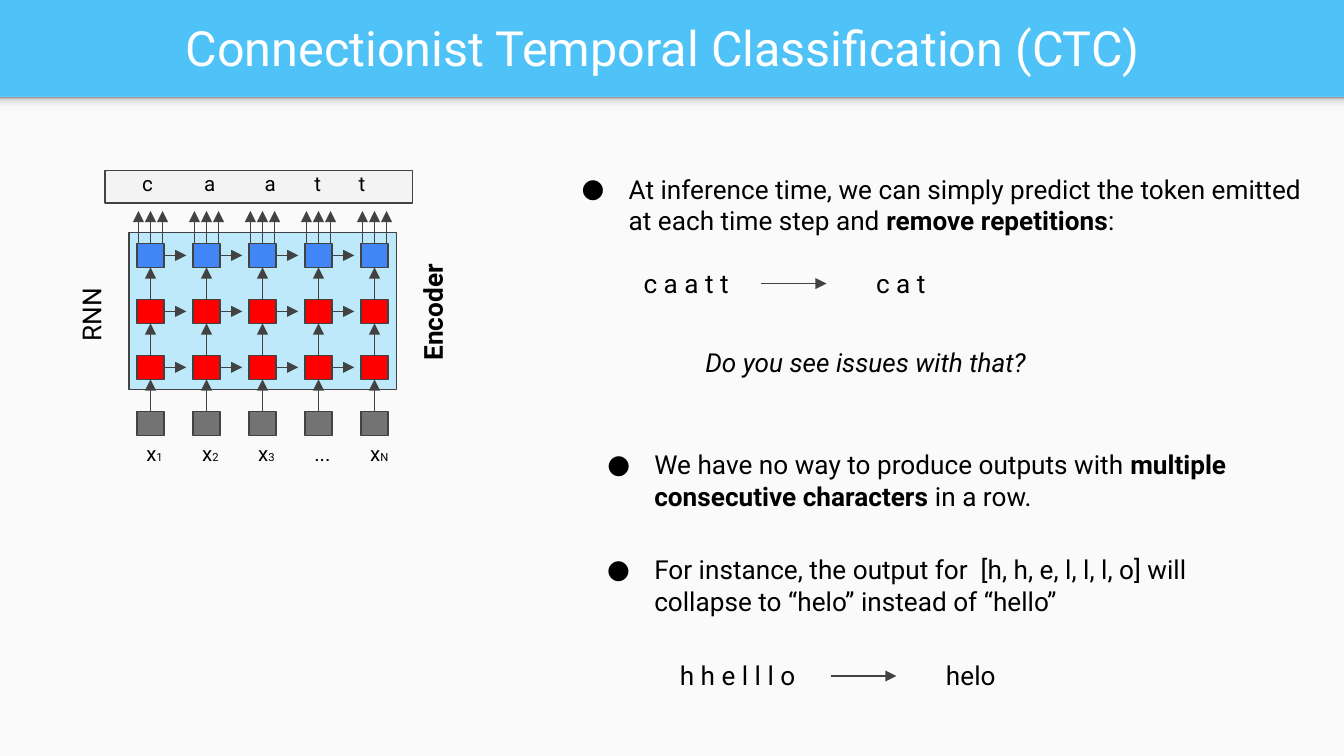
from lxml.etree import SubElement
from pptx import Presentation
from pptx.dml.color import RGBColor
from pptx.enum.shapes import MSO_CONNECTOR, MSO_SHAPE
from pptx.enum.text import MSO_ANCHOR, MSO_AUTO_SIZE, PP_ALIGN
from pptx.oxml import parse_xml
from pptx.oxml.ns import nsdecls, qn
from pptx.util import Inches, Pt

BLACK = RGBColor(0x00, 0x00, 0x00)
WHITE = RGBColor(0xFF, 0xFF, 0xFF)
SKY = RGBColor(0x4F, 0xC3, 0xF7)
PAPER = RGBColor(0xFA, 0xFA, 0xFA)
PALE = RGBColor(0xF3, 0xF3, 0xF3)
LINE = RGBColor(0x42, 0x42, 0x42)
GRAY = RGBColor(0x73, 0x73, 0x73)
RED = RGBColor(0xFF, 0x00, 0x00)
BLUE = RGBColor(0x42, 0x85, 0xF4)
CYAN = RGBColor(0x00, 0xB6, 0xFF)

FONT = "Roboto"
WIDTH = 10
HEIGHT = WIDTH * 9 / 16
TOP, BOTTOM, RIGHT = 0, 2, 3
COLS = 5
STEP = 1.25 / 3
CELL_W, CELL_H = 0.2, 0.18


def add_rect(slide, x, y, w, h, fill, line=LINE):
    shape = slide.shapes.add_shape(
        MSO_SHAPE.RECTANGLE, Inches(x), Inches(y), Inches(w), Inches(h))
    shape.shadow.inherit = False
    shape.fill.solid()
    shape.fill.fore_color.rgb = fill
    if line is None:
        shape.line.fill.background()
    else:
        shape.line.color.rgb = line
        shape.line.width = Pt(0.75)
    return shape


def add_arrow(slide, x1, y1, x2, y2, start=None, end=None):
    """Draw an arrow; start and end are optional (shape, side) joins."""
    arrow = slide.shapes.add_connector(
        MSO_CONNECTOR.STRAIGHT, Inches(x1), Inches(y1), Inches(x2), Inches(y2))
    if start:
        arrow.begin_connect(*start)
    if end:
        arrow.end_connect(*end)
    arrow.line.color.rgb = LINE
    arrow.line.width = Pt(0.75)
    props = arrow._element.spPr
    SubElement(props.find(qn("a:ln")), qn("a:tailEnd"), type="triangle")
    SubElement(props, qn("a:effectLst"))


def add_text(slide, x, y, w, h, runs, size=14, color=BLACK, indent=0, bullet=False):
    """Write one paragraph from (text, font values) runs."""
    box = slide.shapes.add_textbox(Inches(x), Inches(y), Inches(w), Inches(h))
    frame = box.text_frame
    frame.word_wrap = True
    frame.auto_size = MSO_AUTO_SIZE.SHAPE_TO_FIT_TEXT
    for side in ("left", "right", "top", "bottom"):
        setattr(frame, f"margin_{side}", Inches(0.1))
    para = frame.paragraphs[0]
    props = para._p.get_or_add_pPr()
    props.set("marL", str(Inches(indent)))
    if bullet:
        props.set("indent", str(Inches(-0.35)))
        tint = SubElement(props, qn("a:buClr"))
        SubElement(tint, qn("a:srgbClr"), val=str(BLACK))
        SubElement(props, qn("a:buFont"), typeface=FONT)
        SubElement(props, qn("a:buChar"), char="●")
    for words, style in runs:
        run = para.add_run()
        run.text = words
        run.font.color.rgb = color
        for name, value in {"name": FONT, "size": Pt(size), **style}.items():
            setattr(run.font, name, value)
    return box


def add_header(slide, w, h, bar):
    """Fill the page below the title bar and cast the bar's shadow on it."""
    add_rect(slide, 0, bar, w, h - bar, PAPER, None)
    shade = add_rect(slide, 0, bar, w, 0.12, PAPER, None)
    stops = "".join(
        f'<a:gs pos="{spot * 1000}"><a:srgbClr val="{tone}"/></a:gs>'
        for spot, tone in ((0, "F9F9F9"), (36, "F9F9F9"), (80, "DEDEDE"), (100, "999999")))
    grad = parse_xml(
        f'<a:gradFill {nsdecls("a")}><a:gsLst>{stops}</a:gsLst>'
        '<a:lin ang="16200000" scaled="0"/></a:gradFill>')
    props = shade._element.spPr
    props.replace(props.find(qn("a:solidFill")), grad)
    title = add_text(slide, 0.11, 0.02, w - 0.35, bar - 0.06,
                     [("Connectionist Temporal Classification (CTC)", {})], 26, WHITE)
    frame = title.text_frame
    frame.auto_size = MSO_AUTO_SIZE.NONE
    frame.vertical_anchor = MSO_ANCHOR.MIDDLE
    frame.paragraphs[0].alignment = PP_ALIGN.CENTER


def add_row(slide, x, y, fill):
    return [add_rect(slide, x + i * STEP, y, CELL_W, CELL_H, fill) for i in range(COLS)]


def add_encoder(slide, x, y):
    """Draw the network, its inputs and its output tokens."""
    left, top = x + 0.24, y + 0.54
    add_rect(slide, x, y, 2.29, 0.24, PALE)
    below = add_row(slide, left, top + 3 * STEP, GRAY)
    panel = add_rect(slide, x + 0.18, y + 0.46, 1.99, 1.17, CYAN)
    tint = panel._element.spPr.find(qn("a:solidFill"))[0]
    SubElement(tint, qn("a:alpha"), val="24000")

    for level, fill in ((2, RED), (1, RED), (0, BLUE)):
        row_y = top + level * STEP
        cells = add_row(slide, left, row_y, fill)
        for i, (cell, lower) in enumerate(zip(cells, below)):
            add_arrow(slide, 0, 0, 0, 0, (lower, TOP), (cell, BOTTOM))
            if i < COLS - 1:
                mid = row_y + CELL_H / 2
                tip = left + (i + 1) * STEP - 0.05
                add_arrow(slide, tip, mid, tip, mid, (cell, RIGHT))
        below = cells

    for i, cell in enumerate(below):
        mid = left + i * STEP + CELL_W / 2
        for shift in (-0.09, 0, 0.09):
            add_arrow(slide, mid + shift, top, mid + shift, top - 0.24,
                      None if shift else (cell, TOP))

    for i, sub in enumerate(("1", "2", "3", None, "N")):
        runs = [("x", {}), (sub, {"size": Pt(6)})] if sub else [("...", {})]
        add_text(slide, left - 0.03 + i * STEP, y + 1.92, 0.37, 0.39, runs, 11)
    for token, shift in zip("caatt", (0.18, 0.64, 1.09, 1.46, 1.79)):
        add_text(slide, x + shift, y - 0.09, 0.55, 0.39, [(token, {})], 11)
    for words, shift, drop, w, bold in (("RNN", -0.42, 0.83, 0.64, False),
                                        ("Encoder", 1.95, 0.8, 0.98, True)):
        label = add_text(slide, x + shift, y + drop, w, 0.44, [(words, {"bold": bold})])
        label.rotation = 270


def add_bullet(slide, x, y, w, *runs):
    add_text(slide, x, y, w, 0.67, runs, indent=0.5, bullet=True)


def add_sample(slide, x, y, w, tokens, result):
    """Show a token sequence, an arrow and the collapsed result."""
    add_text(slide, x, y, w, 0.44, [(tokens, {})], indent=0.05)
    add_arrow(slide, x + w, y + 0.22, x + w + 0.49, y + 0.22)
    add_text(slide, x + w + 0.71, y, 1.02, 0.44, [(result, {})], indent=0.05)


def add_notes(slide, x, y):
    """Place the explanation column."""
    bold = {"bold": True}
    add_bullet(slide, x, y, 5.73,
               ("At inference time, we can simply predict the token emitted "
                "at each time step and ", {}),
               ("remove repetitions", bold), (":", {}))
    add_sample(slide, x + 0.56, y + 0.7, 1.02, "c a a t t", "c a t")
    add_text(slide, x + 1.07, y + 1.29, 2.8, 0.44,
             [("Do you see issues with that?", {"italic": True})])
    add_bullet(slide, x + 0.19, y + 2.05, 5.52,
               ("We have no way to produce outputs with ", {}),
               ("multiple consecutive characters", bold), (" in a row.", {}))
    add_bullet(slide, x + 0.19, y + 2.83, 4.93,
               ("For instance, the output for  [h, h, e, l, l, l, o] will "
                "collapse to “helo” instead of “hello”", {}))
    add_sample(slide, x + 0.83, y + 3.62, 1.27, "h h e l l l o", "helo")


def main():
    deck = Presentation()
    deck.slide_width, deck.slide_height = Inches(WIDTH), Inches(HEIGHT)
    slide = deck.slides.add_slide(deck.slide_layouts[6])
    slide.background.fill.solid()
    slide.background.fill.fore_color.rgb = SKY
    add_header(slide, WIDTH, HEIGHT, 0.72)
    add_encoder(slide, 0.78, 1.27)
    add_notes(slide, 4.08, 1.19)
    deck.save("out.pptx")


if __name__ == "__main__":
    main()
